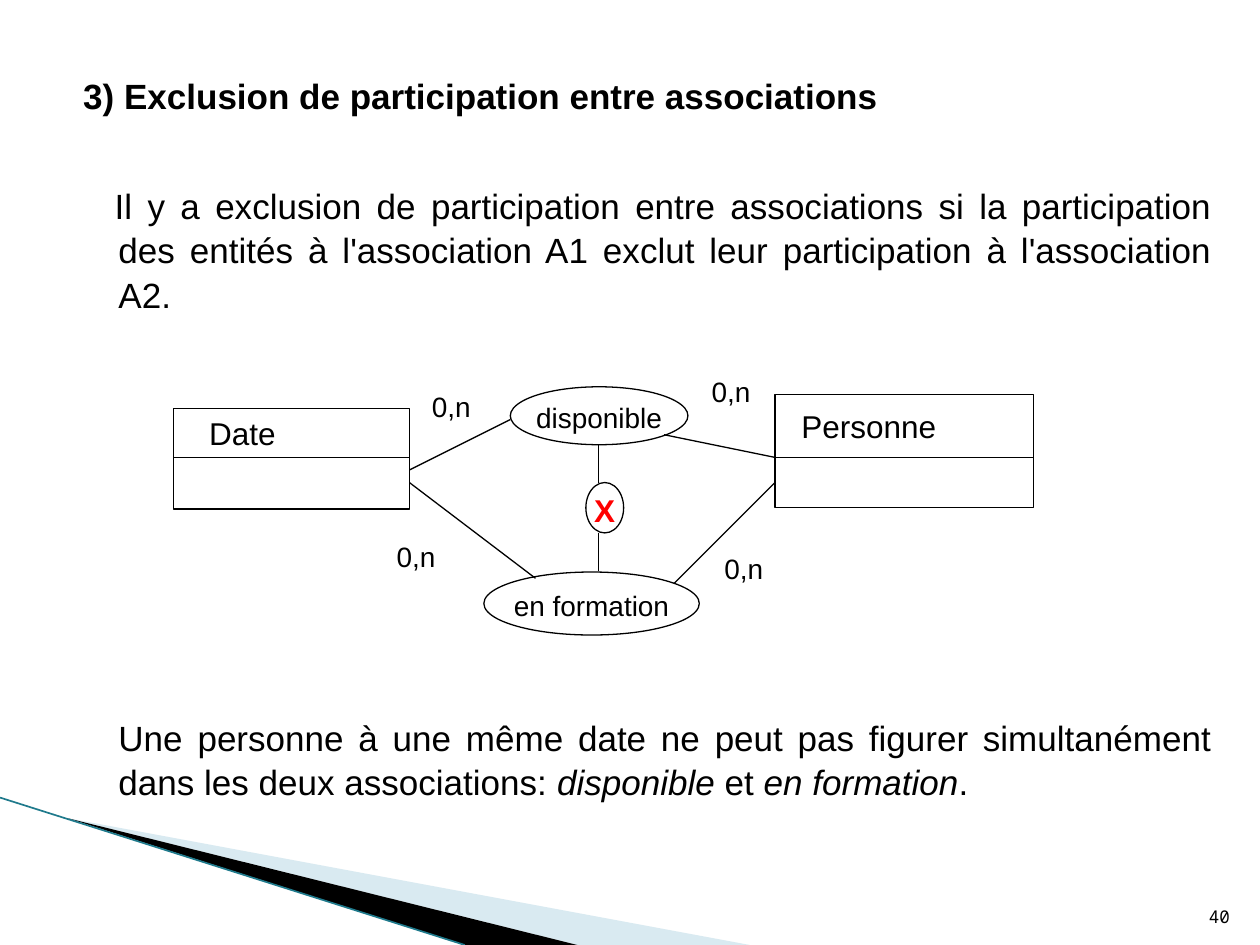
from lxml import etree
from pptx import Presentation, util as u
from pptx.dml.color import RGBColor
from pptx.enum import shapes, text
from pptx.oxml.ns import qn

BLACK = RGBColor(0, 0, 0)
WHITE = RGBColor(255, 255, 255)
RED = RGBColor(255, 0, 0)
PALE = RGBColor(0xA0, 0xCB, 0xDC)
TEAL = RGBColor(0x1F, 0x7A, 0x8C)
WIDE, HIGH = 10, 7.5
TOP, MID, LOW = (text.MSO_ANCHOR.TOP, text.MSO_ANCHOR.MIDDLE,
                 text.MSO_ANCHOR.BOTTOM)
LEFT, MIDST, RIGHT, EVEN = (text.PP_ALIGN.LEFT, text.PP_ALIGN.CENTER,
                            text.PP_ALIGN.RIGHT, text.PP_ALIGN.JUSTIFY)


def inch(vals):
    return [u.Inches(v) for v in vals]


def write(para, words, size, align=LEFT, color=BLACK, bold=False,
          slant=False, face="Arial"):
    """Add one run to a paragraph."""
    para.alignment = align
    run = para.add_run()
    run.text = words
    font = run.font
    font.size, font.name = u.Pt(size), face
    font.bold, font.italic = bold, slant
    font.color.rgb = color


def frame(shape, anchor=TOP, wrap=True, pad=(0.1, 0.05, 0.1, 0.05)):
    """Set up the text frame of a shape and return it."""
    tf = shape.text_frame
    tf.auto_size = text.MSO_AUTO_SIZE.NONE
    tf.word_wrap, tf.vertical_anchor = wrap, anchor
    (tf.margin_left, tf.margin_top,
     tf.margin_right, tf.margin_bottom) = inch(pad)
    return tf


def place(shape, box):
    shape.left, shape.top, shape.width, shape.height = inch(box)


def link(slide, start, end, color=BLACK, width=0.75):
    line = slide.shapes.add_connector(
        shapes.MSO_CONNECTOR.STRAIGHT, *inch(start + end))
    line.line.color.rgb, line.line.width = color, u.Pt(width)
    etree.SubElement(line._element.spPr, qn("a:effectLst"))


def wedge(slide, points, color, alpha=None):
    """Draw a filled outline; alpha is its opacity in percent."""
    first, *rest = [inch(p) for p in points]
    build = slide.shapes.build_freeform(*first)
    build.add_line_segments(rest)
    shape = build.convert_to_shape()
    shape.shadow.inherit = False
    shape.fill.solid()
    shape.fill.fore_color.rgb = color
    shape.line.fill.background()
    if alpha:
        tone = shape._element.spPr.find(".//" + qn("a:srgbClr"))
        etree.SubElement(tone, qn("a:alpha"), val=str(alpha * 1000))


def decor(slide, box):
    """Corner stripes, running from the box's top left to its bottom."""
    x, y, w, h = box

    def at(across, down):
        return x + across * w, y + down * h

    wedge(slide, [at(0.09, 0.14), at(1, 1), at(0.77, 1)], PALE, 40)
    wedge(slide, [at(0.09, 0.14), at(0.77, 1), at(0.62, 1)], BLACK)
    link(slide, at(0, 0), at(0.62, 1), TEAL, 0.95)


def title(slide, box):
    head = slide.shapes.title
    place(head, box)
    tf = frame(head, pad=(0.22, 0.05, 0.1, 0.05))
    write(tf.paragraphs[0], "3) Exclusion de participation entre associations",
          20, bold=True)


def body(slide, box):
    holder = slide.placeholders[1]
    place(holder, box)
    tf = frame(holder)
    rule = [("Il y a exclusion de participation entre associations si la "
             "participation des entités à l'association A1 exclut leur "
             "participation à l'association A2.", False)]
    case = [("Une personne à une même date ne peut pas figurer simultanément "
             "dans les deux associations:", False),
            (" disponible", True), (" et ", False),
            ("en formation", True), (".", False)]
    for runs, gap, indent in ((rule, 0, -0.03), (case, 228, 0)):
        para = tf.add_paragraph() if gap else tf.paragraphs[0]
        para.line_spacing, para.space_before = 1.05, u.Pt(gap)
        for words, slant in runs:
            write(para, words, 20, EVEN, slant=slant)
        props = para._p.get_or_add_pPr()
        props.set("marL", str(u.Inches(0.4)))
        props.set("indent", str(u.Inches(indent)))
        etree.SubElement(props, qn("a:buNone"))


def model(slide, box):
    """Entities, associations and their links on a 68 by 21 grid."""
    x, y, w, h = box
    col, row = w / 68, h / 21

    def at(c, r):
        return x + c * col, y + r * row

    def cell(c, r, cols, rows):
        return at(c, r) + (cols * col, rows * row)

    def node(kind, area):
        shape = slide.shapes.add_shape(kind, *inch(cell(*area)))
        shape.shadow.inherit = False
        shape.fill.solid()
        shape.fill.fore_color.rgb = WHITE
        shape.line.color.rgb, shape.line.width = BLACK, u.Pt(0.75)
        return shape

    for name, area, pad in (
            ("Date", (0, 3.2, 18.7, 8), (0.28, 0.05, 0, 0)),
            ("Personne", (47.7, 2.1, 20.5, 9), (0.21, 0.1, 0, 0))):
        tf = frame(node(shapes.MSO_SHAPE.RECTANGLE, area), pad=pad)
        write(tf.paragraphs[0], name, 18)
        link(slide, at(area[0], 7.1), at(area[0] + area[2], 7.1))

    for name, area, size, color in (
            ("disponible", (26.7, 1.5, 14.1, 4.6), 16, BLACK),
            ("en formation", (24.6, 16.2, 17.1, 5), 16, BLACK),
            ("X", (32.7, 9.1, 3, 4), 18, RED)):
        tf = frame(node(shapes.MSO_SHAPE.OVAL, area), MID, False,
                   (0, 0.03, 0, 0))
        write(tf.paragraphs[0], name, size, MIDST, color, bold=name == "X")

    for start, end in (((18.7, 8.1), (26.7, 4.1)), ((18.7, 9.1), (28.7, 16.7)),
                       ((38.9, 5.3), (47.7, 7.1)), ((39.7, 17.1), (47.7, 9.1)),
                       ((33.7, 6.1), (33.7, 9.1)),
                       ((33.7, 13.1), (33.7, 16.1))):
        link(slide, at(*start), at(*end))

    for area in ((19.5, 1.2, 7.9, 4.3), (16.7, 13.1, 7, 5.2),
                 (42.7, 14.1, 9, 5.2), (41.7, 0, 8.5, 4.1)):
        label = slide.shapes.add_textbox(*inch(cell(*area)))
        write(frame(label).paragraphs[0], "0,n", 16)


def number(slide, box):
    label = slide.shapes.add_textbox(*inch(box))
    write(frame(label, LOW).paragraphs[0], "40", 10, RIGHT,
          face="Noto Sans Mono")


def main():
    deck = Presentation()
    deck.slide_width, deck.slide_height = inch((WIDE, HIGH))
    slide = deck.slides.add_slide(deck.slide_layouts[1])
    decor(slide, (0, 6.33, 5.95, HIGH - 6.33))
    title(slide, (0.44, 0.54, 9.28, 0.5))
    body(slide, (0.44, 1.4, 9.28, 5.54))
    model(slide, (1.38, 2.92, 6.8, 2.1))
    number(slide, (9.46, 7.01, 0.4, 0.4))
    deck.save("out.pptx")


if __name__ == "__main__":
    main()
